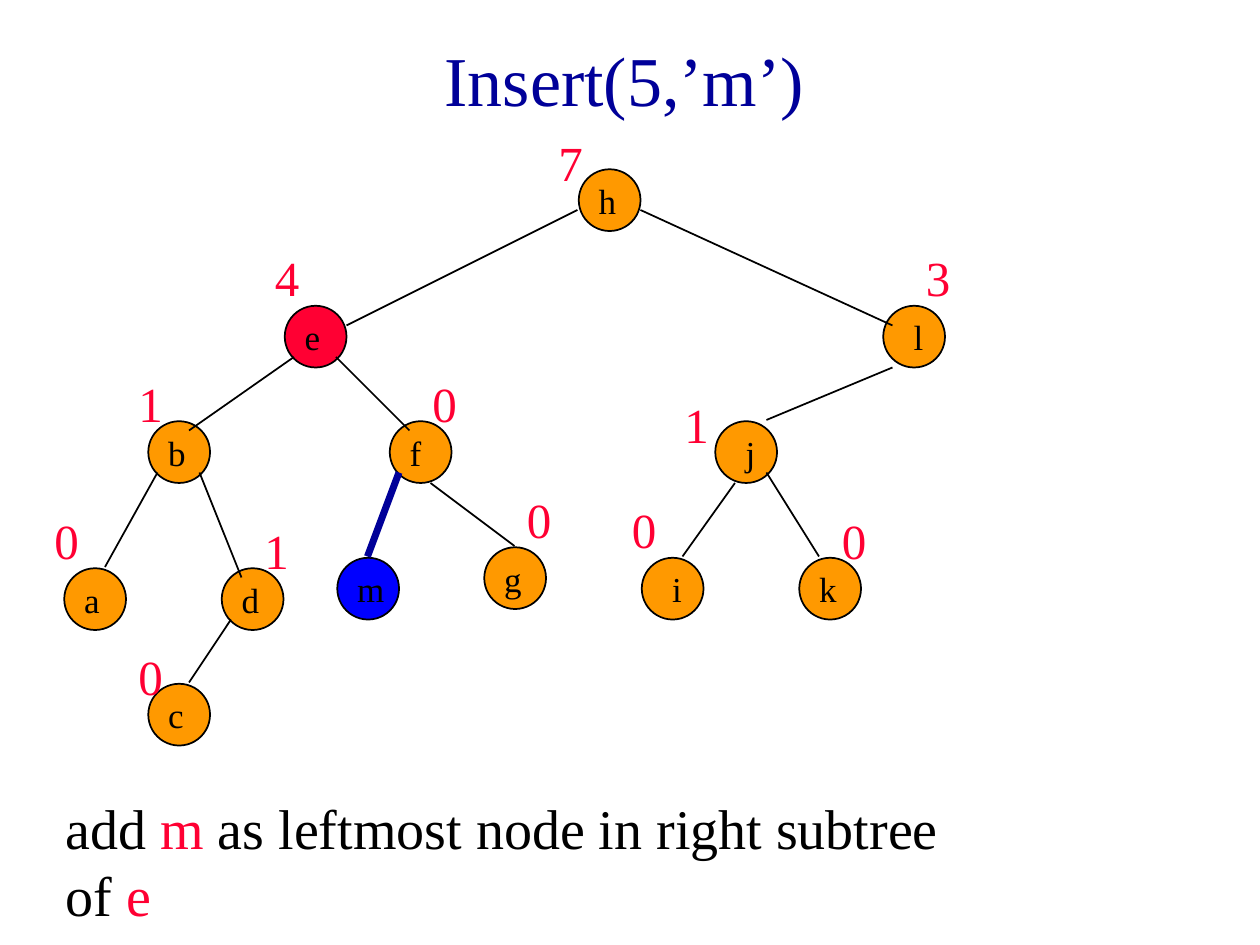
from pptx import Presentation
from pptx.dml.color import RGBColor
from pptx.enum.shapes import MSO_CONNECTOR, MSO_SHAPE
from pptx.enum.text import MSO_ANCHOR, MSO_AUTO_SIZE, PP_ALIGN
from pptx.oxml.ns import qn
from pptx.util import Inches, Pt
from lxml.etree import SubElement

BLACK = RGBColor(0x00, 0x00, 0x00)
NAVY = RGBColor(0x00, 0x00, 0x99)
BLUE = RGBColor(0x00, 0x00, 0xFF)
RED = RGBColor(0xFF, 0x00, 0x33)
ORANGE = RGBColor(0xFF, 0x99, 0x00)
FONT = "Times New Roman"
GRID = 12  # grid steps per inch
NODE_SIZE = 0.49

# Content: positions are grid steps (column, row)
TITLE = "Insert(5,’m’)"
NOTE = [("add ", BLACK), ("m", RED), (" as leftmost node in right subtree of ", BLACK), ("e", RED)]
NODES = {
    "h": (55, 16), "e": (27, 29), "l": (84, 29), "b": (14, 40), "f": (37, 40),
    "j": (68, 40), "a": (6, 54), "d": (21, 54), "i": (61, 53), "k": (76, 53),
    "c": (14, 65), "g": (46, 52), "m": (32, 53),
}
NODE_FILLS = {"e": RED, "m": BLUE}
NARROW = "lji"  # letters set one step further right
LEFT_SIZES = [
    ("7", 52, 12), ("4", 25, 23), ("3", 87, 23), ("1", 12, 35), ("0", 40, 35),
    ("1", 64, 37), ("0", 4, 48), ("1", 24, 49), ("0", 59, 47), ("0", 79, 48),
    ("0", 12, 61), ("0", 49, 46),
]
EDGES = [
    (55, 20, 33, 31), (61, 20, 85, 31), (28, 34, 18, 41), (32, 34, 39, 41),
    (85, 35, 73, 40), (15, 45, 10, 54), (19, 45, 23, 55), (70, 46, 65, 53),
    (73, 45, 78, 53), (22, 59, 18, 65), (41, 46, 49, 52),
]
NEW_EDGE = (38, 45, 35, 53)


def steps(n, offset=0):
    return Inches(n / GRID + offset)


def write(tf, runs, size, **para):
    p = tf.paragraphs[0]
    for name, value in para.items():
        setattr(p, name, value)
    for text, color in runs:
        r = p.add_run()
        r.text = text
        for name, value in {"name": FONT, "size": Pt(size)}.items():
            setattr(r.font, name, value)
        r.font.color.rgb = color


def add_text(box, runs, size, wrap=True, **para):
    tf = s.shapes.add_textbox(*box).text_frame
    tf.word_wrap = wrap
    tf.auto_size = MSO_AUTO_SIZE.SHAPE_TO_FIT_TEXT
    write(tf, runs, size, **para)


def add_edge(ends, color=BLACK, width=1):
    line = s.shapes.add_connector(MSO_CONNECTOR.STRAIGHT, *map(steps, ends))
    line.line.color.rgb = color
    line.line.width = Pt(width)
    SubElement(line._element.spPr, qn("a:effectLst"))


prs = Presentation()
prs.slide_width, prs.slide_height = Inches(10), Inches(7.5)
s = prs.slides.add_slide(prs.slide_layouts[5])

# Title
title = s.shapes.title
title.left, title.top, title.width, title.height = map(Inches, (0.08, 0, 9.75, 1.25))
title.text_frame.vertical_anchor = MSO_ANCHOR.MIDDLE
write(title.text_frame, [(TITLE, NAVY)], 40, alignment=PP_ALIGN.CENTER)

# Tree nodes
for letter, (col, row) in NODES.items():
    node = s.shapes.add_shape(MSO_SHAPE.OVAL, steps(col, 0.01), steps(row, 0.01),
                              Inches(NODE_SIZE), Inches(NODE_SIZE))
    node.shadow.inherit = False
    node.fill.solid()
    node.fill.fore_color.rgb = NODE_FILLS.get(letter, ORANGE)
    node.line.color.rgb = BLACK
    node.line.width = Pt(1)

# Edges
for ends in EDGES:
    add_edge(ends)
add_edge(NEW_EDGE, NAVY, 4)

# Node letters
for letter, (col, row) in NODES.items():
    left = steps(col + (letter in NARROW), 0.07)
    width = {"m": 0.42, "f": 0.29}.get(letter, 0.28 if letter in NARROW else 0.34)
    add_text((left, steps(row, 0.04), Inches(width), Inches(0.43)),
             [(letter, BLACK)], 20, wrap=False)

# Left subtree sizes
for value, col, row in LEFT_SIZES:
    add_text((steps(col), steps(row), Inches(0.25), Inches(0.57)),
             [(value, RED)], 28, space_before=Pt(17.5))

# Explanation
add_text(map(Inches, (0.42, 6.25, 7.25, 1.17)), NOTE, 32, space_before=Pt(20))

prs.save("out.pptx")
